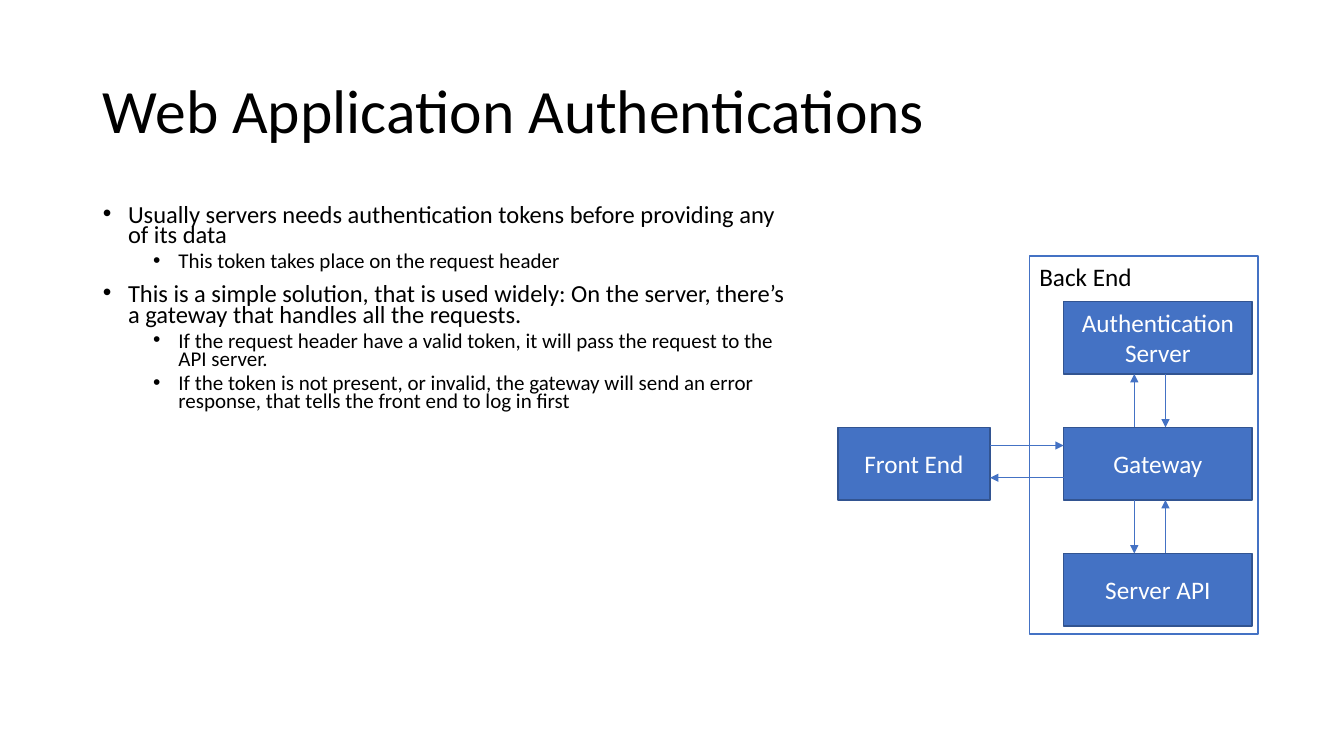
"""Build the slide on web application authentication with its request flow diagram."""
from dataclasses import dataclass

from lxml import etree
from pptx import Presentation
from pptx.dml.color import RGBColor
from pptx.enum.shapes import MSO_CONNECTOR, MSO_SHAPE
from pptx.enum.text import MSO_ANCHOR, MSO_AUTO_SIZE, PP_ALIGN
from pptx.oxml.ns import qn
from pptx.util import Inches, Pt

RECTANGLE = MSO_SHAPE.RECTANGLE
STRAIGHT = MSO_CONNECTOR.STRAIGHT
TOP, MIDDLE = MSO_ANCHOR.TOP, MSO_ANCHOR.MIDDLE
LEFT, CENTER = PP_ALIGN.LEFT, PP_ALIGN.CENTER
NO_FIT = MSO_AUTO_SIZE.NONE
FONT = "Calibri"
COLORS = {"white": "FFFFFF", "black": "000000", "blue": "4472C4", "border": "325491"}
PAGE_WIDTH, PAGE_HEIGHT = Inches(13.33), Inches(7.5)


@dataclass(frozen=True)
class Area:
    """A rectangle in percent of the slide's width and height."""
    left: float
    top: float
    width: float
    height: float

    @property
    def right(self) -> float:
        return self.left + self.width

    @property
    def bottom(self) -> float:
        return self.top + self.height


@dataclass(frozen=True)
class Node:
    label: str
    area: Area
    fill: str = "blue"
    border: str = "border"
    color: str = "white"
    align: PP_ALIGN = CENTER
    anchor: MSO_ANCHOR = MIDDLE


@dataclass(frozen=True)
class Bullet:
    text: str
    level: int = 0


NODE_HEIGHT = 9.6
ROW_TOPS = [39.87 + 16.67 * row for row in range(3)]
AUTHENTICATION, GATEWAY, SERVER_API = [Area(79.14, top, 14.03, NODE_HEIGHT) for top in ROW_TOPS]
FRONT_END = Area(62.34, ROW_TOPS[1], 11.33, NODE_HEIGHT)
BACK_END = Area(76.59, 33.87, 17.03, 50)
TITLE = Area(6.9, 5.33, 86.27, 19.33)
BODY = Area(6.9, 26.67, 52.74, 29.87)

NODES = [
    Node("Back End", BACK_END, "white", "blue", "black", LEFT, TOP),
    Node("Front End", FRONT_END),
    Node("Gateway", GATEWAY),
    Node("Server API", SERVER_API),
    Node("Authentication Server", AUTHENTICATION),
]
OUT_COLUMN, RETURN_COLUMN = 84.4, 86.72
REQUEST_ROW, RESPONSE_ROW = 58.93, 63.2
ARROWS = [
    ((FRONT_END.right, REQUEST_ROW), (GATEWAY.left, REQUEST_ROW)),
    ((GATEWAY.left, RESPONSE_ROW), (FRONT_END.right, RESPONSE_ROW)),
]
for gateway_edge, server_edge in (
    (GATEWAY.top, AUTHENTICATION.bottom),
    (GATEWAY.bottom, SERVER_API.top),
):
    ARROWS += [
        ((OUT_COLUMN, gateway_edge), (OUT_COLUMN, server_edge)),
        ((RETURN_COLUMN, server_edge), (RETURN_COLUMN, gateway_edge)),
    ]

BULLETS = [
    Bullet("Usually servers needs authentication tokens before providing any of its data"),
    Bullet("This token takes place on the request header", 1),
    Bullet("This is a simple solution, that is used widely: On the server, "
           "there’s a gateway that handles all the requests."),
    Bullet("If the request header have a valid token, it will pass the request "
           "to the API server.", 1),
    Bullet("If the token is not present, or invalid, the gateway will send an error "
           "response, that tells the front end to log in first", 1),
]


def rgb(name: str) -> RGBColor:
    return RGBColor.from_string(COLORS[name])


def across(share: float) -> int:
    return round(PAGE_WIDTH * share / 100)


def down(share: float) -> int:
    return round(PAGE_HEIGHT * share / 100)


def bounds(area: Area) -> tuple[int, int, int, int]:
    return across(area.left), down(area.top), across(area.width), down(area.height)


def place(shape, area: Area) -> None:
    shape.left, shape.top, shape.width, shape.height = bounds(area)


def write(paragraph, text: str, *, size: float, color: str = "black",
          align: PP_ALIGN = LEFT, spacing: float = 1.0, before: float = 0) -> None:
    paragraph.alignment = align
    paragraph.line_spacing = spacing
    paragraph.space_before = Pt(before)
    span = paragraph.add_run()
    span.text = text
    span.font.name = FONT
    span.font.size = Pt(size)
    span.font.color.rgb = rgb(color)


def set_bullet(paragraph, indent: float) -> None:
    properties = paragraph._p.get_or_add_pPr()
    properties.set("marL", str(Inches(indent)))
    properties.set("indent", str(Inches(-0.25)))
    etree.SubElement(properties, qn("a:buFont")).set("typeface", "Arial")
    etree.SubElement(properties, qn("a:buChar")).set("char", "•")


def fill_title(title, text: str) -> None:
    place(title, TITLE)
    frame = title.text_frame
    frame.auto_size = NO_FIT
    frame.vertical_anchor = MIDDLE
    write(frame.paragraphs[0], text, size=44, spacing=0.9)


def fill_body(body, bullets: list[Bullet]) -> None:
    place(body, BODY)
    frame = body.text_frame
    frame.auto_size = NO_FIT
    frame.vertical_anchor = TOP
    for index, bullet in enumerate(bullets):
        paragraph = frame.add_paragraph() if index else frame.paragraphs[0]
        paragraph.level = bullet.level
        size, before = (15, 5) if bullet.level else (17.5, 10)
        write(paragraph, bullet.text, size=size, spacing=0.7, before=before)
        set_bullet(paragraph, 0.25 + 0.5 * bullet.level)


def draw_node(page, node: Node) -> None:
    box = page.shapes.add_shape(RECTANGLE, *bounds(node.area))
    box.shadow.inherit = False
    box.fill.solid()
    box.fill.fore_color.rgb = rgb(node.fill)
    box.line.color.rgb = rgb(node.border)
    box.line.width = Pt(1)
    frame = box.text_frame
    frame.word_wrap = True
    frame.vertical_anchor = node.anchor
    write(frame.paragraphs[0], node.label, size=18, color=node.color, align=node.align)


def draw_arrow(page, start: tuple[float, float], end: tuple[float, float]) -> None:
    arrow = page.shapes.add_connector(
        STRAIGHT, across(start[0]), down(start[1]), across(end[0]), down(end[1]))
    arrow.line.color.rgb = rgb("blue")
    arrow.line.width = Pt(0.5)
    etree.SubElement(arrow.line._get_or_add_ln(), qn("a:tailEnd")).set("type", "triangle")
    etree.SubElement(arrow._element.spPr, qn("a:effectLst"))


def main() -> None:
    deck = Presentation()
    deck.slide_width, deck.slide_height = PAGE_WIDTH, PAGE_HEIGHT
    page = deck.slides.add_slide(deck.slide_layouts[1])
    fill_title(page.shapes.title, "Web Application Authentications")
    fill_body(page.placeholders[1], BULLETS)
    for node in NODES:
        draw_node(page, node)
    for start, end in ARROWS:
        draw_arrow(page, start, end)
    deck.save("out.pptx")


if __name__ == "__main__":
    main()
